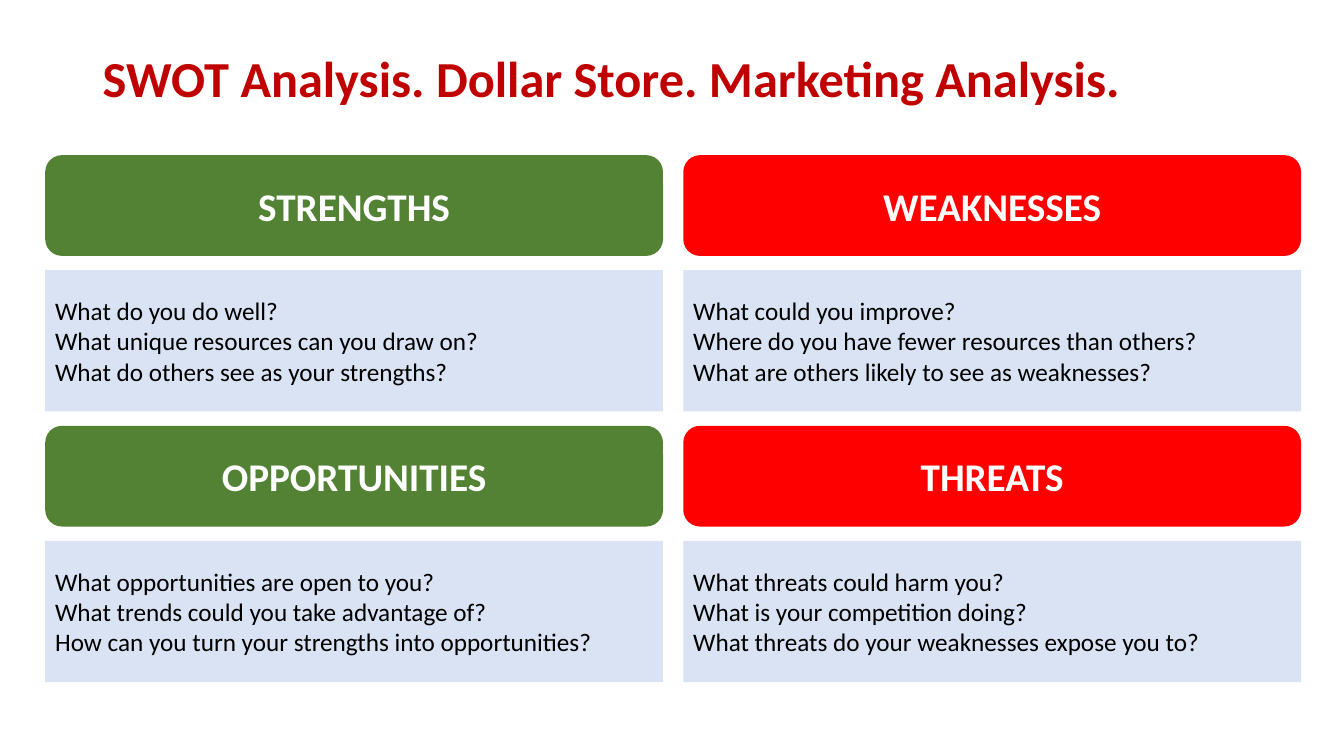
from dataclasses import dataclass

from pptx import Presentation
from pptx.dml.color import RGBColor
from pptx.enum.shapes import MSO_SHAPE
from pptx.enum.text import MSO_ANCHOR, PP_ALIGN
from pptx.util import Cm, Pt

ROUNDED = MSO_SHAPE.ROUNDED_RECTANGLE
RECTANGLE = MSO_SHAPE.RECTANGLE
MIDDLE = MSO_ANCHOR.MIDDLE
LEFT = PP_ALIGN.LEFT
CENTER = PP_ALIGN.CENTER


@dataclass(frozen=True)
class Theme:
    """Colours, font and type sizes of the slide."""
    font: str = "Calibri"
    title: RGBColor = RGBColor(0xC0, 0x00, 0x00)
    helpful: RGBColor = RGBColor(0x54, 0x82, 0x35)
    harmful: RGBColor = RGBColor(0xFF, 0x00, 0x00)
    panel: RGBColor = RGBColor(0xDA, 0xE3, 0xF3)
    heading: RGBColor = RGBColor(0xFF, 0xFF, 0xFF)
    body: RGBColor = RGBColor(0x00, 0x00, 0x00)
    title_size: Pt = Pt(36)
    heading_size: Pt = Pt(28)
    body_size: Pt = Pt(18)


@dataclass(frozen=True)
class Quadrant:
    """One SWOT field: a heading and its questions."""
    heading: str
    questions: tuple[str, ...]


THEME = Theme()
GRID_LEFT, GRID_TOP = Cm(1.14), Cm(3.91)
COLUMN_WIDTH, COLUMN_GAP = Cm(15.57), Cm(0.51)
HEADING_HEIGHT, PANEL_HEIGHT, ROW_GAP = Cm(2.54), Cm(3.56), Cm(0.36)
COLUMN_COLORS = (THEME.helpful, THEME.harmful)

QUADRANTS = (
    Quadrant("STRENGTHS", (
        "What do you do well?",
        "What unique resources can you draw on?",
        "What do others see as your strengths?")),
    Quadrant("WEAKNESSES", (
        "What could you improve?",
        "Where do you have fewer resources than others?",
        "What are others likely to see as weaknesses?")),
    Quadrant("OPPORTUNITIES", (
        "What opportunities are open to you?",
        "What trends could you take advantage of?",
        "How can you turn your strengths into opportunities?")),
    Quadrant("THREATS", (
        "What threats could harm you?",
        "What is your competition doing?",
        "What threats do your weaknesses expose you to?")),
)


def write_text(shape, text: str, size: Pt, color: RGBColor,
               bold: bool = False, alignment: PP_ALIGN = LEFT) -> None:
    """Fill a shape with vertically centred, wrapped text."""
    frame = shape.text_frame
    frame.text = text
    frame.word_wrap = True
    frame.vertical_anchor = MIDDLE
    for paragraph in frame.paragraphs:
        paragraph.alignment = alignment
        for run in paragraph.runs:
            run.font.name = THEME.font
            run.font.size = size
            run.font.bold = bold
            run.font.color.rgb = color


def add_block(slide, kind: MSO_SHAPE, left: int, top: int, height: int,
              color: RGBColor):
    """Add a flat, borderless shape one column wide."""
    shape = slide.shapes.add_shape(kind, left, top, COLUMN_WIDTH, height)
    shape.shadow.inherit = False
    shape.fill.solid()
    shape.fill.fore_color.rgb = color
    shape.line.fill.background()
    return shape


def add_quadrant(slide, quadrant: Quadrant, row: int, column: int) -> None:
    """Draw a heading and the question panel below it."""
    left = GRID_LEFT + column * (COLUMN_WIDTH + COLUMN_GAP)
    top = GRID_TOP + row * (HEADING_HEIGHT + PANEL_HEIGHT + 2 * ROW_GAP)
    heading = add_block(slide, ROUNDED, left, top, HEADING_HEIGHT,
                        COLUMN_COLORS[column])
    write_text(heading, quadrant.heading, THEME.heading_size, THEME.heading,
               bold=True, alignment=CENTER)
    panel = add_block(slide, RECTANGLE, left, top + HEADING_HEIGHT + ROW_GAP,
                      PANEL_HEIGHT, THEME.panel)
    write_text(panel, "\n".join(quadrant.questions), THEME.body_size, THEME.body)


def add_title(slide, text: str) -> None:
    """Add the slide title."""
    title = slide.shapes.add_textbox(Cm(2.34), Cm(1.02), Cm(29.21), Cm(2.03))
    write_text(title, text, THEME.title_size, THEME.title, bold=True)
    title.text_frame.paragraphs[0].line_spacing = 0.9


def main() -> None:
    """Build and save the SWOT slide."""
    presentation = Presentation()
    presentation.slide_width, presentation.slide_height = Cm(33.87), Cm(19.05)
    slide = presentation.slides.add_slide(presentation.slide_layouts[6])
    add_title(slide, "SWOT Analysis. Dollar Store. Marketing Analysis.")
    for index, quadrant in enumerate(QUADRANTS):
        row, column = divmod(index, len(COLUMN_COLORS))
        add_quadrant(slide, quadrant, row, column)
    presentation.save("out.pptx")


main()
